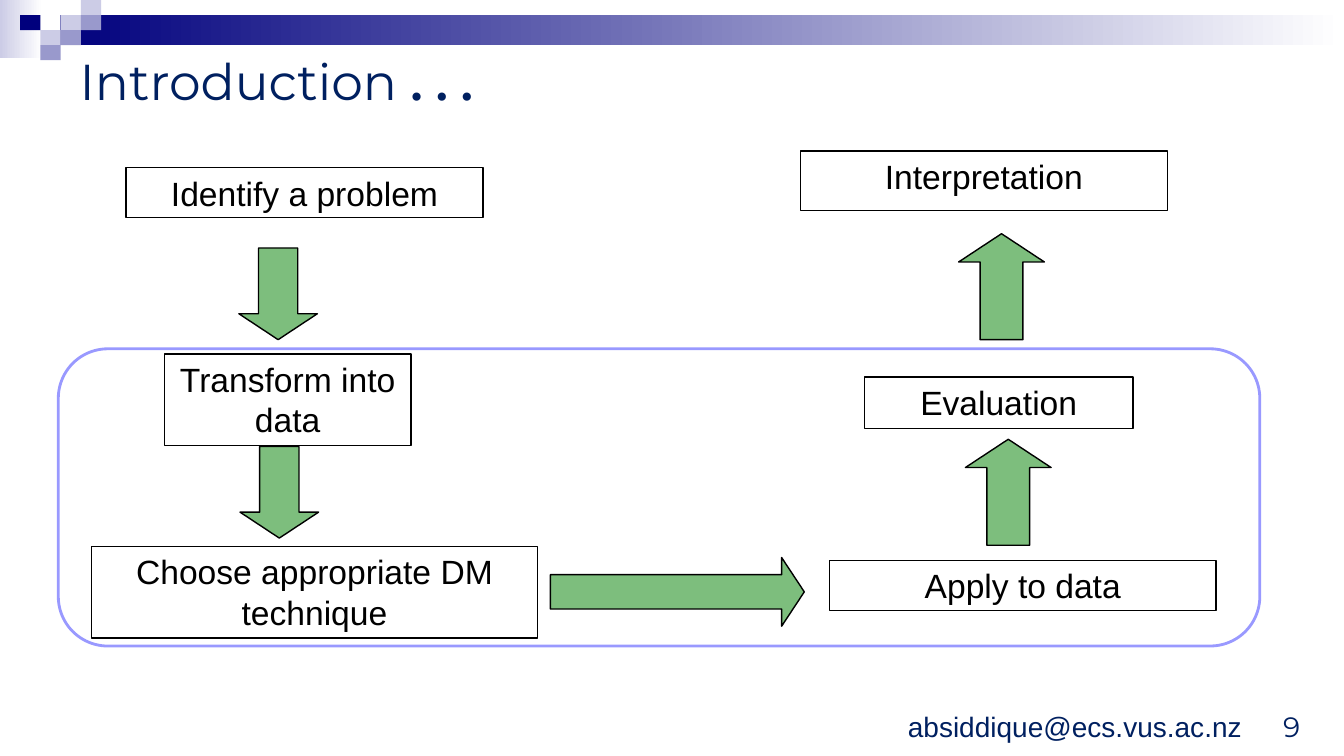
from lxml import etree
from pptx import Presentation
from pptx.dml.color import RGBColor
from pptx.enum import shapes, text
from pptx.oxml.ns import qn
from pptx.util import Cm, Pt

NAVY, BLACK, GREEN = "002060", "000000", "008000"
KIND = shapes.MSO_SHAPE
ALIGN = text.PP_ALIGN
ANCHOR = text.MSO_ANCHOR


def add_shape(kind, box, fill=None, line=None, width=1):
    """Add a preset shape; a pair of fill colours makes a gradient."""
    shape = slide.shapes.add_shape(kind, *map(Cm, box))
    shape.shadow.inherit = False
    if fill is None:
        shape.fill.background()
    elif isinstance(fill, tuple):
        shape.fill.gradient()
        shape.fill.gradient_angle = 0
        for stop, position, color in zip(shape.fill.gradient_stops, (0, 1), fill):
            stop.position = position
            stop.color.rgb = RGBColor.from_string(color)
    else:
        shape.fill.solid()
        shape.fill.fore_color.rgb = RGBColor.from_string(fill)
    if line:
        shape.line.color.rgb = RGBColor.from_string(line)
        shape.line.width = Pt(width)
    else:
        shape.line.fill.background()
    return shape


def write(shape, runs, size, color, align, anchor):
    """Write one paragraph from (words, font name, bold) runs."""
    frame = shape.text_frame
    frame.word_wrap = True
    frame.vertical_anchor = anchor
    paragraph = frame.paragraphs[0]
    paragraph.alignment = align
    for words, font_name, bold in runs:
        run = paragraph.add_run()
        run.text = words
        run.font.color.rgb = RGBColor.from_string(color)
        font_format = {"name": font_name, "size": Pt(size), "bold": bold}
        for attribute, value in font_format.items():
            setattr(run.font, attribute, value)


presentation = Presentation()
presentation.slide_width, presentation.slide_height = Cm(33.87), Cm(19.05)
slide = presentation.slides.add_slide(presentation.slide_layouts[6])

# Header band with its mosaic of small tiles
add_shape(KIND.RECTANGLE, (0, 0, 1.07, 1.47), ("CCCCE6", "FFFFFF"))
add_shape(KIND.RECTANGLE, (1.52, 0.38, 32.33, 0.76), ("00007D", "FFFFFF"))
tile_width, tile_height = 0.51, 0.38
tiles = {
    "CCCCE6": [(3, 1), (4, 0), (2, 2)],
    "9999CC": [(4, 1), (3, 2), (2, 3)],
    "00007D": [(1, 1)],
}
for color, cells in tiles.items():
    for column, row in cells:
        tile = (column * tile_width, row * tile_height, tile_width, tile_height)
        add_shape(KIND.RECTANGLE, tile, color)

# Footer: address and slide number
for words, font_name, align, left, width in [
    ("absiddique@ecs.vus.ac.nz", "Arial", ALIGN.CENTER, 21.59, 11),
    ("9", "Montserrat", ALIGN.RIGHT, 30.48, 2.54),
]:
    footer = slide.shapes.add_textbox(Cm(left), Cm(17.58), Cm(width), Cm(1.27))
    write(footer, [(words, font_name, False)], 20, NAVY, align, ANCHOR.BOTTOM)

# Process steps
steps = [
    ("Identify a problem", (3.18, 4.22, 8.99, 1.27)),
    ("Transform into data", (4.14, 8.92, 6.22, 2.31)),
    ("Choose appropriate DM technique", (2.31, 13.77, 11.23, 2.31)),
    ("Apply to data", (20.9, 14.12, 9.75, 1.27)),
    ("Evaluation", (21.79, 9.5, 6.76, 1.3)),
    ("Interpretation", (20.17, 3.81, 9.25, 1.5)),
]
for words, box in steps:
    step = add_shape(KIND.RECTANGLE, box, line=BLACK)
    write(step, [(words, "Arial", False)], 24, BLACK, ALIGN.CENTER, ANCHOR.TOP)

# Half-transparent block arrows between the steps
arrows = [
    (KIND.DOWN_ARROW, (6.02, 6.25, 1.98, 2.31)),
    (KIND.DOWN_ARROW, (6.05, 11.25, 1.98, 2.31)),
    (KIND.RIGHT_ARROW, (13.87, 14.05, 6.4, 1.73)),
    (KIND.UP_ARROW, (24.33, 11.07, 2.16, 2.67)),
    (KIND.UP_ARROW, (24.16, 5.89, 2.16, 2.67)),
]
for kind, box in arrows:
    arrow = add_shape(kind, box, GREEN, BLACK)
    arrow.adjustments[1] = 0.33
    fill_color = arrow.fill._xPr.find(qn("a:solidFill"))[0]
    etree.SubElement(fill_color, qn("a:alpha"), val="51000")

# Frame around the data mining steps
add_shape(KIND.ROUNDED_RECTANGLE, (1.47, 8.79, 30.28, 7.49), line="9999FF", width=2)

# Title
title = slide.shapes.add_textbox(Cm(1.68), Cm(1.07), Cm(13.54), Cm(1.9))
margins = {"margin_left": 0.33, "margin_right": 0.33, "margin_top": 0.18, "margin_bottom": 0.18}
for attribute, value in margins.items():
    setattr(title.text_frame, attribute, Cm(value))
title_runs = [("Introduction ", "Montserrat", False), (". . .", "Times New Roman", True)]
write(title, title_runs, 36, NAVY, ALIGN.LEFT, ANCHOR.MIDDLE)

presentation.save("out.pptx")
